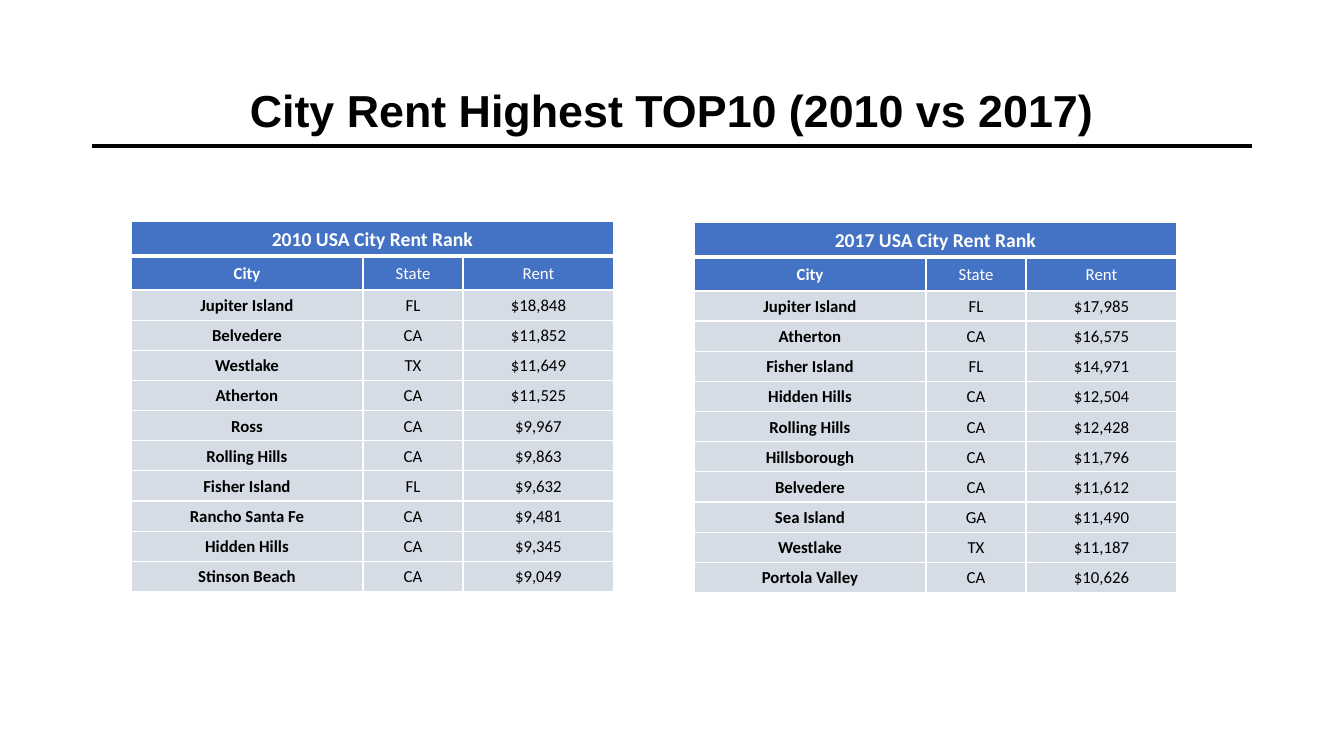
from lxml.etree import SubElement
from pptx import Presentation
from pptx.dml.color import RGBColor
from pptx.enum.shapes import MSO_CONNECTOR
from pptx.enum.text import MSO_ANCHOR as Anchor, PP_ALIGN as Align
from pptx.oxml import parse_xml
from pptx.oxml.ns import nsdecls, qn
from pptx.util import Pt

EMU_PER_PIXEL = 914400 / 100.8
COLORS = {"black": "000000", "white": "FFFFFF", "header": "4472C4", "body": "D6DCE5"}

COLUMN_WIDTHS = [232, 100, 151]
TITLE_ROW, HEADER_ROW, BODY_HEIGHT = 35, 34, 302
CELL_MARGIN = 3

RENTS_2010 = [
    ("Jupiter Island", "FL", "$18,848"),
    ("Belvedere", "CA", "$11,852"),
    ("Westlake", "TX", "$11,649"),
    ("Atherton", "CA", "$11,525"),
    ("Ross", "CA", "$9,967"),
    ("Rolling Hills", "CA", "$9,863"),
    ("Fisher Island", "FL", "$9,632"),
    ("Rancho Santa Fe", "CA", "$9,481"),
    ("Hidden Hills", "CA", "$9,345"),
    ("Stinson Beach", "CA", "$9,049"),
]
RENTS_2017 = [
    ("Jupiter Island", "FL", "$17,985"),
    ("Atherton", "CA", "$16,575"),
    ("Fisher Island", "FL", "$14,971"),
    ("Hidden Hills", "CA", "$12,504"),
    ("Rolling Hills", "CA", "$12,428"),
    ("Hillsborough", "CA", "$11,796"),
    ("Belvedere", "CA", "$11,612"),
    ("Sea Island", "GA", "$11,490"),
    ("Westlake", "TX", "$11,187"),
    ("Portola Valley", "CA", "$10,626"),
]


def px(pixels):
    return round(pixels * EMU_PER_PIXEL)


def rgb(name):
    return RGBColor.from_string(COLORS[name])


def format_text(text_frame, font_name, size, color, bold, line_spacing):
    paragraph = text_frame.paragraphs[0]
    paragraph.alignment = Align.CENTER
    paragraph.line_spacing = line_spacing
    for run in paragraph.runs:
        run.font.name = font_name
        run.font.size = Pt(size)
        run.font.bold = bold
        run.font.color.rgb = rgb(color)


def add_title(slide, text, left, top, width, height):
    text_frame = slide.shapes.add_textbox(px(left), px(top), px(width), px(height)).text_frame
    text_frame.word_wrap = True
    text_frame.vertical_anchor = Anchor.MIDDLE
    text_frame.text = text
    format_text(text_frame, "Arial", 32, "black", True, 0.9)


def add_rule(slide, left, right, y):
    rule = slide.shapes.add_connector(MSO_CONNECTOR.STRAIGHT, px(left), px(y), px(right), px(y))
    rule.line.color.rgb = rgb("black")
    rule.line.width = Pt(2.25)
    SubElement(rule._element.spPr, qn("a:effectLst"))


def set_borders(cell, top=1, bottom=1):
    """Draw white cell borders; widths are in points."""
    properties = cell._tc.get_or_add_tcPr()
    widths = {"lnL": 1, "lnR": 1, "lnT": top, "lnB": bottom}
    for index, (side, width) in enumerate(widths.items()):
        properties.insert(index, parse_xml(
            f'<a:{side} {nsdecls("a")} w="{Pt(width)}"><a:solidFill>'
            f'<a:srgbClr val="{COLORS["white"]}"/></a:solidFill></a:{side}>'))


def format_cell(cell, row, column):
    cell.fill.solid()
    cell.fill.fore_color.rgb = rgb("header" if row < 2 else "body")
    cell.vertical_anchor = Anchor.MIDDLE
    cell.margin_left = cell.margin_right = px(CELL_MARGIN)
    cell.margin_top = cell.margin_bottom = px(CELL_MARGIN)
    format_text(cell.text_frame, "Calibri", 14 if row == 0 else 12,
                "white" if row < 2 else "black", column == 0, 1.07)
    # A thick line separates the table title from the column headings
    set_borders(cell, top=3 if row == 1 else 1, bottom=3 if row == 0 else 1)


def add_rent_table(slide, title, rents, left, top):
    rows = [(title, "", ""), ("City", "State", "Rent"), *rents]
    heights = [TITLE_ROW, HEADER_ROW] + [BODY_HEIGHT / len(rents)] * len(rents)
    table = slide.shapes.add_table(len(rows), len(COLUMN_WIDTHS), px(left), px(top),
                                   px(sum(COLUMN_WIDTHS)), px(sum(heights))).table
    for column, width in zip(table.columns, COLUMN_WIDTHS):
        column.width = px(width)
    for table_row, height in zip(table.rows, heights):
        table_row.height = px(height)
    for row, values in enumerate(rows):
        for column, value in enumerate(values):
            cell = table.cell(row, column)
            cell.text_frame.text = value
            format_cell(cell, row, column)
    table.cell(0, 0).merge(table.cell(0, len(COLUMN_WIDTHS) - 1))


def main():
    presentation = Presentation()
    presentation.slide_width, presentation.slide_height = px(1344), px(756)
    slide = presentation.slides.add_slide(presentation.slide_layouts[6])

    # Heading
    add_rule(slide, 92, 1252, 146)
    add_title(slide, "City Rent Highest TOP10 (2010 vs 2017)", 92, 40, 1160, 146)

    # Rankings side by side
    add_rent_table(slide, "2017 USA City Rent Rank", RENTS_2017, 694, 222)
    add_rent_table(slide, "2010 USA City Rent Rank", RENTS_2010, 131, 221)

    presentation.save("out.pptx")


main()
